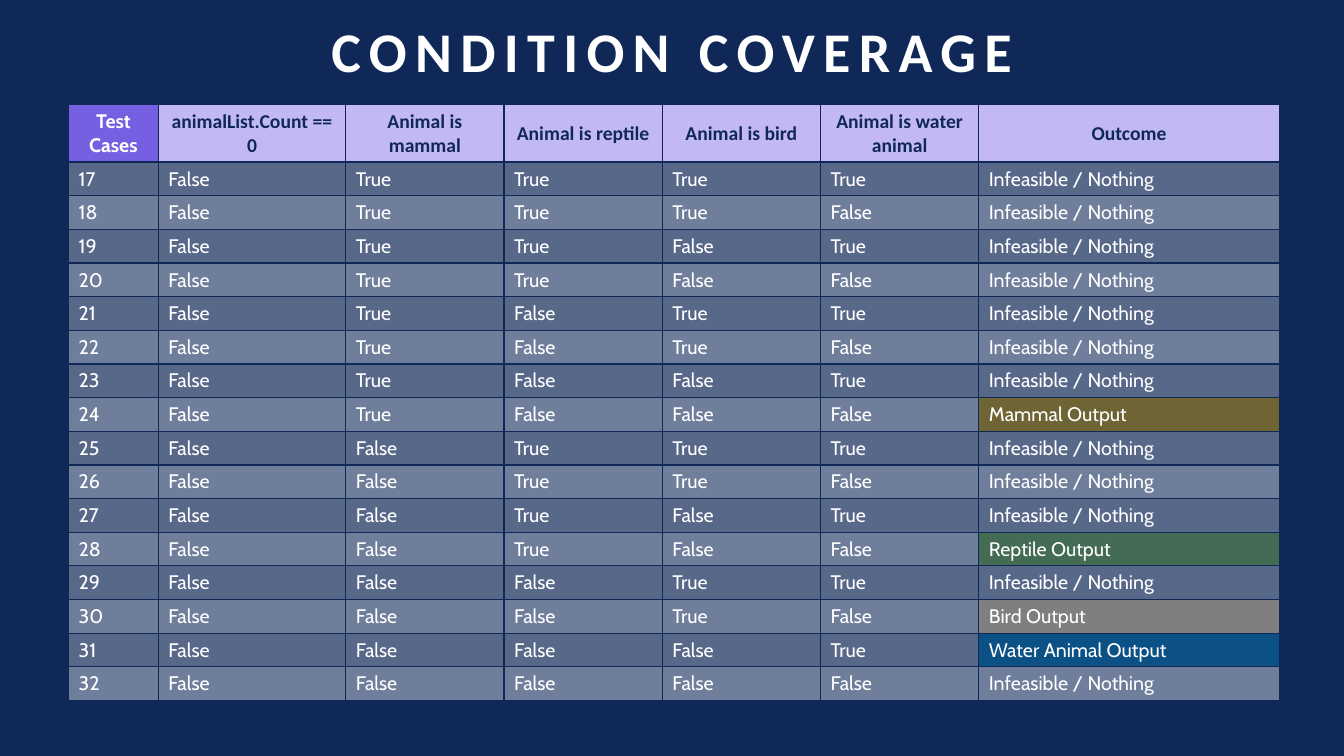
import itertools
from dataclasses import dataclass

import pptx
import pptx.dml.color
import pptx.enum.text
import pptx.oxml
import pptx.oxml.ns
import pptx.util

SLIDE_WIDTH = pptx.util.Inches(13.33)
SLIDE_HEIGHT = pptx.util.Inches(7.5)
GRID_COLUMNS, GRID_ROWS = 1333, 750

COLUMN_SPANS = (89, 186, 157, 157, 157, 157, 298)
HEADER_SPAN, CASE_SPAN = 48, 33
FIRST_CASE = 17
HEADINGS = (
    "Test Cases",
    "animalList.Count == 0",
    "Animal is mammal",
    "Animal is reptile",
    "Animal is bird",
    "Animal is water animal",
    "Outcome",
)


@dataclass(frozen=True)
class Theme:
    background: str = "102857"
    text: str = "FFFFFF"
    corner: str = "765FE1"
    header: str = "C3B9F2"
    mammal: str = "FFC000"
    reptile: str = "92D050"
    bird: str = "7F7F7F"
    water: str = "00B0F0"
    odd_opacity: int = 30
    even_opacity: int = 40
    title_font: str = "Calibri"
    body_font: str = "Cabin"
    title_size: int = 40
    table_size: int = 14
    title_tracking: int = 6
    border_width: int = 1


THEME = Theme()


@dataclass(frozen=True)
class CellStyle:
    fill: str
    opacity: int = 100
    color: str = THEME.text
    font: str = THEME.body_font
    bold: bool = False
    centred: bool = False


@dataclass(frozen=True)
class Outcome:
    text: str
    fill: str
    opaque: bool = False


NOTHING = Outcome("Infeasible / Nothing", THEME.text)
OUTCOMES = (
    Outcome("Mammal Output", THEME.mammal),
    Outcome("Reptile Output", THEME.reptile),
    Outcome("Bird Output", THEME.bird, opaque=True),
    Outcome("Water Animal Output", THEME.water),
)


def across(columns: float) -> int:
    return round(SLIDE_WIDTH * columns / GRID_COLUMNS)


def down(rows: float) -> int:
    return round(SLIDE_HEIGHT * rows / GRID_ROWS)


def rgb(color: str) -> pptx.dml.color.RGBColor:
    return pptx.dml.color.RGBColor.from_string(color)


def style_font(font, name: str, size: int, color: str, bold: bool) -> None:
    font.name = name
    font.size = pptx.util.Pt(size)
    font.bold = bold
    font.color.rgb = rgb(color)


def add_borders(cell) -> None:
    properties = cell._tc.get_or_add_tcPr()
    for index, side in enumerate(("lnL", "lnR", "lnT", "lnB")):
        properties.insert(index, pptx.oxml.parse_xml(
            f'<a:{side} {pptx.oxml.ns.nsdecls("a")} w="{pptx.util.Pt(THEME.border_width)}">'
            f'<a:solidFill><a:srgbClr val="{THEME.background}"/></a:solidFill></a:{side}>'
        ))


def set_opacity(cell, percent: int) -> None:
    color = cell._tc.tcPr.find(pptx.oxml.ns.qn("a:solidFill"))[0]
    color.append(pptx.oxml.parse_xml(
        f'<a:alpha {pptx.oxml.ns.nsdecls("a")} val="{percent * 1000}"/>'
    ))


def write_cell(cell, text: str, style: CellStyle) -> None:
    cell.text = text
    cell.vertical_anchor = pptx.enum.text.MSO_ANCHOR.MIDDLE
    cell.fill.solid()
    cell.fill.fore_color.rgb = rgb(style.fill)
    if style.opacity < 100:
        set_opacity(cell, style.opacity)
    add_borders(cell)
    paragraph = cell.text_frame.paragraphs[0]
    if style.centred:
        paragraph.alignment = pptx.enum.text.PP_ALIGN.CENTER
    style_font(paragraph.font, style.font, THEME.table_size, style.color, style.bold)


def outcome_of(conditions: tuple[bool, ...]) -> Outcome:
    """An animal has an output only when exactly one condition holds."""
    return OUTCOMES[conditions.index(True)] if sum(conditions) == 1 else NOTHING


def add_title(slide) -> None:
    box = slide.shapes.add_textbox(across(181), down(22), across(971), down(67))
    frame = box.text_frame
    frame.word_wrap = True
    frame.vertical_anchor = pptx.enum.text.MSO_ANCHOR.BOTTOM
    paragraph = frame.paragraphs[0]
    paragraph.alignment = pptx.enum.text.PP_ALIGN.CENTER
    paragraph.line_spacing = 0.9
    run = paragraph.add_run()
    run.text = "CONDITION COVERAGE"
    style_font(paragraph.font, THEME.title_font, THEME.title_size, THEME.text, True)
    run.font._element.set("spc", str(THEME.title_tracking * 100))


def add_coverage_table(slide) -> None:
    cases = list(itertools.product((True, False), repeat=len(OUTCOMES)))
    table = slide.shapes.add_table(
        len(cases) + 1, len(HEADINGS), across(68), down(104),
        across(sum(COLUMN_SPANS)), down(HEADER_SPAN + CASE_SPAN * len(cases)),
    ).table
    table.horz_banding = False
    for column, span in zip(table.columns, COLUMN_SPANS):
        column.width = across(span)
    for index, row in enumerate(table.rows):
        row.height = down(CASE_SPAN if index else HEADER_SPAN)

    corner = CellStyle(THEME.corner, bold=True, centred=True)
    heading = CellStyle(THEME.header, color=THEME.background, font=THEME.title_font,
                        bold=True, centred=True)
    for index, text in enumerate(HEADINGS):
        write_cell(table.cell(0, index), text, heading if index else corner)

    for index, conditions in enumerate(cases, start=1):
        opacity = THEME.odd_opacity if index % 2 else THEME.even_opacity
        plain = CellStyle(THEME.text, opacity)
        outcome = outcome_of(conditions)
        values = (FIRST_CASE + index - 1, False, *conditions)
        for column, value in enumerate(values):
            write_cell(table.cell(index, column), str(value), plain)
        write_cell(table.cell(index, len(values)), outcome.text,
                   CellStyle(outcome.fill, 100 if outcome.opaque else opacity))


def main() -> None:
    presentation = pptx.Presentation()
    presentation.slide_width = SLIDE_WIDTH
    presentation.slide_height = SLIDE_HEIGHT
    slide = presentation.slides.add_slide(presentation.slide_layouts[6])
    slide.background.fill.solid()
    slide.background.fill.fore_color.rgb = rgb(THEME.background)
    add_title(slide)
    add_coverage_table(slide)
    presentation.save("out.pptx")


if __name__ == "__main__":
    main()
